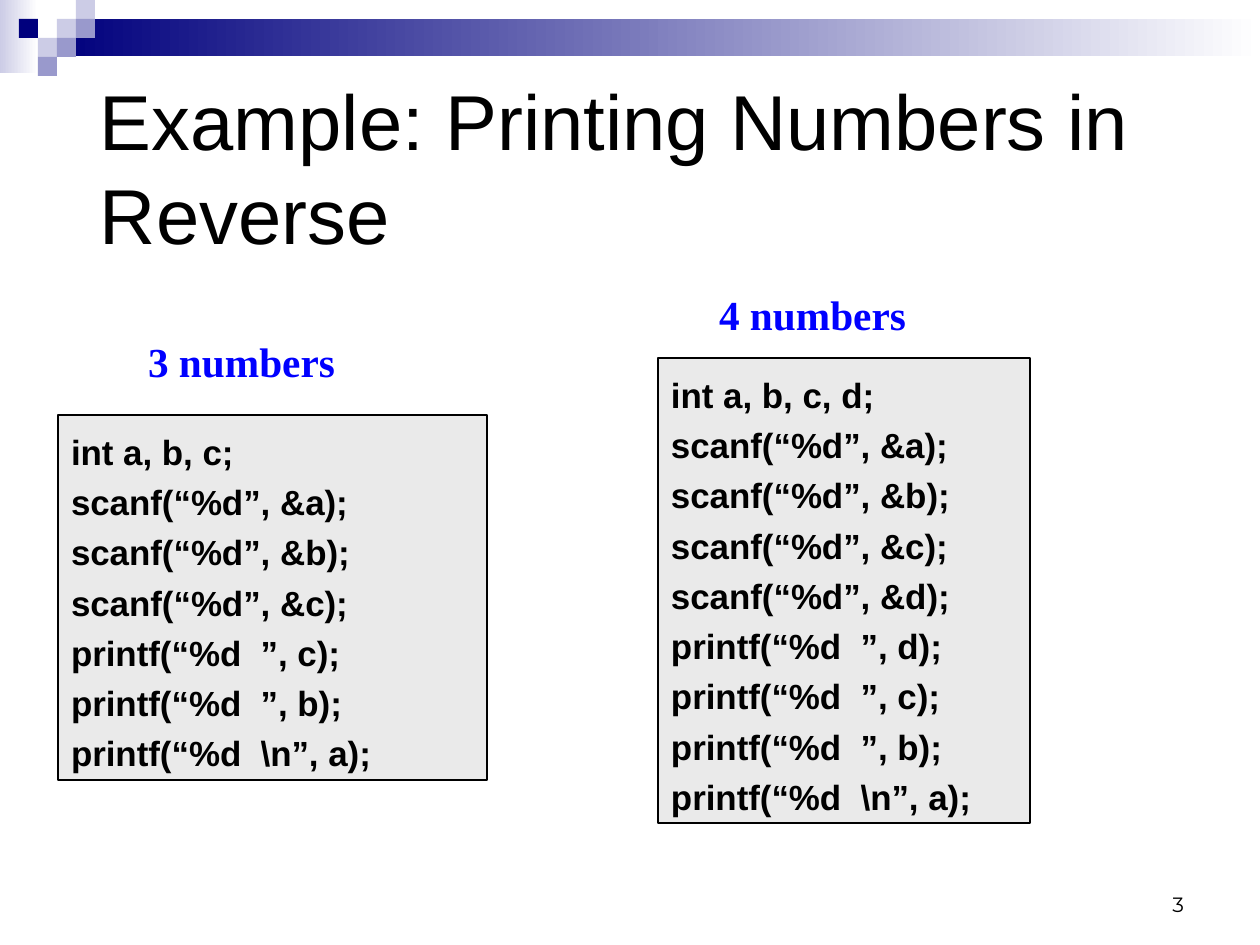
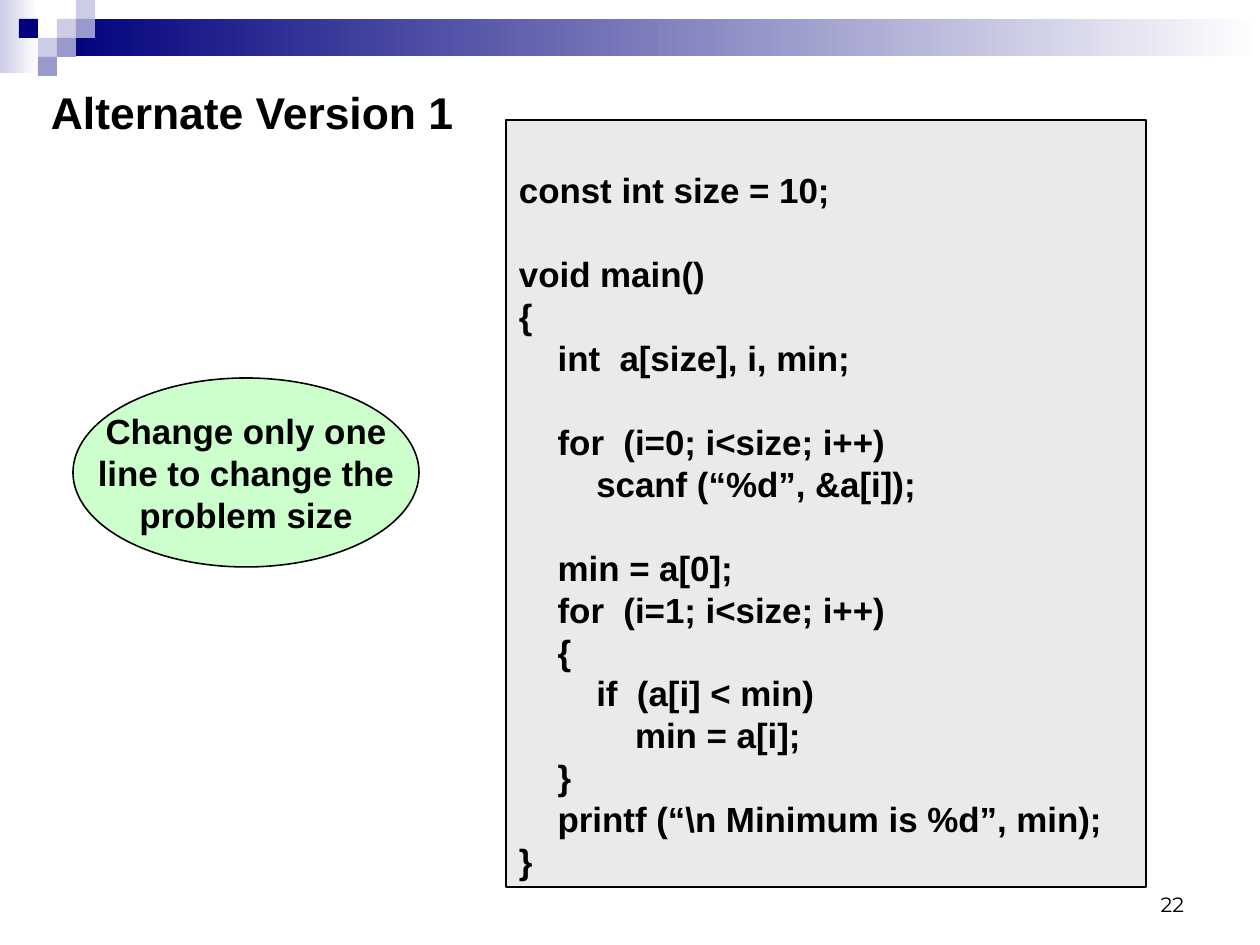
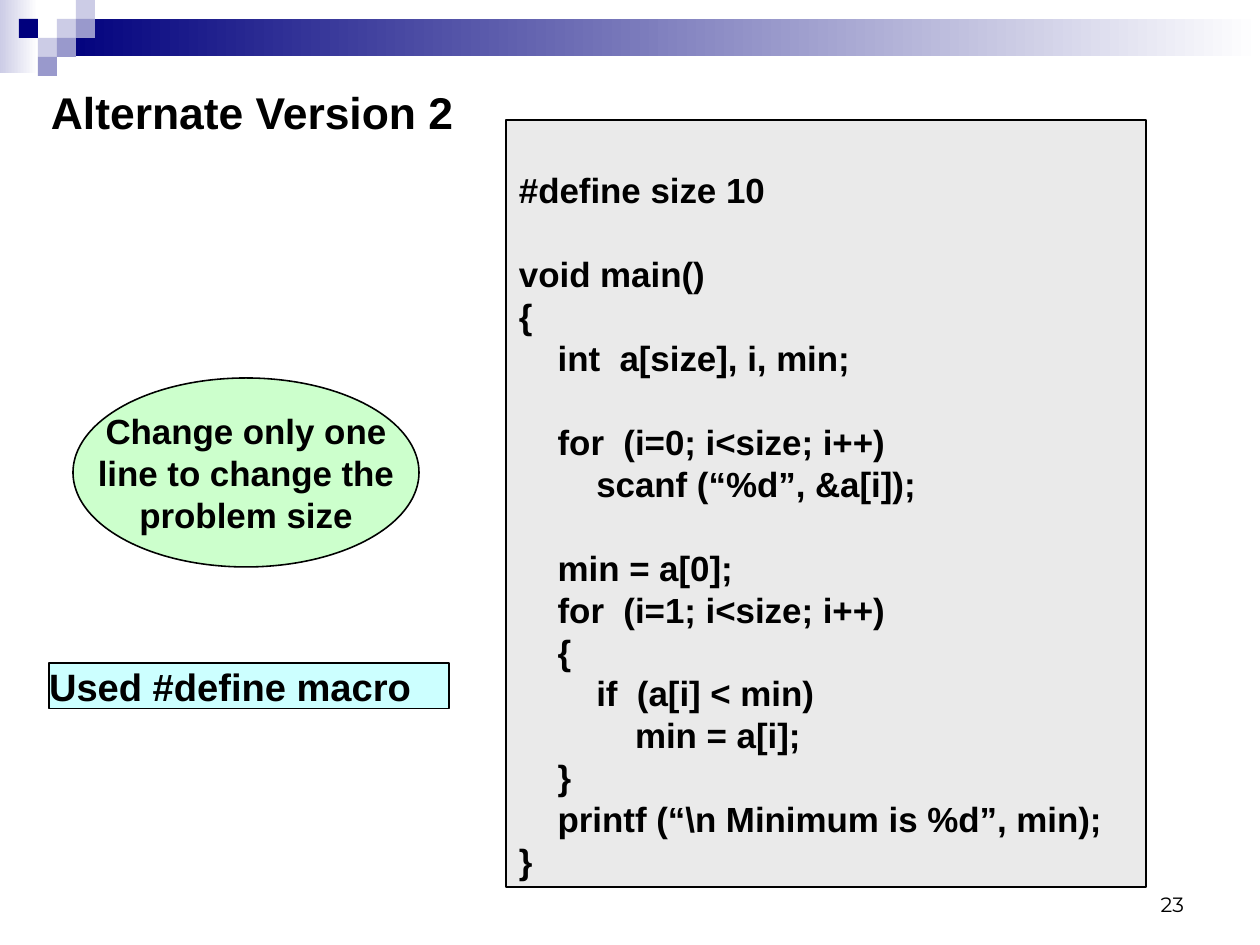
from pptx import Presentation
from pptx import util as u
from pptx.dml import color
from pptx.enum import shapes, text

PX = 8000
SLIDE_WIDTH, SLIDE_HEIGHT = 1260, 945
CELL = 19
INSETS = (13, 7, 13, 7)
CODE_LINE_HEIGHT = 42

COLORS = {
    "navy": "00007D", "lilac": "9999CC", "pale": "CCCCE6", "white": "FFFFFF",
    "black": "000000", "blue": "0000FF", "code": "EAEAEA", "green": "CCFFCC",
    "cyan": "CCFFFF",
}
MOSAIC = [
    (3, 1, "pale"), (4, 0, "pale"), (4, 1, "lilac"), (2, 2, "pale"),
    (1, 1, "navy"), (3, 2, "lilac"), (2, 3, "lilac"),
]

THREE_NUMBERS = """int a, b, c;
scanf(“%d”, &a);
scanf(“%d”, &b);
scanf(“%d”, &c);
printf(“%d  ”, c);
printf(“%d  ”, b);
printf(“%d  \\n”, a);"""

FOUR_NUMBERS = """int a, b, c, d;
scanf(“%d”, &a);
scanf(“%d”, &b);
scanf(“%d”, &c);
scanf(“%d”, &d);
printf(“%d  ”, d);
printf(“%d  ”, c);
printf(“%d  ”, b);
printf(“%d  \\n”, a);"""

MINIMUM_PROGRAM = """

void main()
{
    int  a[size], i, min;

    for  (i=0; i<size; i++)
        scanf (“%d”, &a[i]);

    min = a[0];
    for  (i=1; i<size; i++)
    {
        if  (a[i] < min)
            min = a[i];
    }
    printf (“\\n Minimum is %d”, min);
}"""


def rgb(name):
    """Return the named colour of the palette."""
    return color.RGBColor.from_string(COLORS[name])


def px(length):
    """Turn pixels into EMU."""
    return u.Emu(length * PX)


def add_panel(slide, box, fill, line=None, kind=shapes.MSO_SHAPE.RECTANGLE):
    """Add a filled shape; a pair of fill colours makes a gradient."""
    shape = slide.shapes.add_shape(kind, *map(px, box))
    shape.shadow.inherit = False
    if isinstance(fill, tuple):
        shape.fill.gradient()
        shape.fill.gradient_angle = 0
        for stop, name in zip(shape.fill.gradient_stops, fill):
            stop.color.rgb = rgb(name)
    else:
        shape.fill.solid()
        shape.fill.fore_color.rgb = rgb(fill)
    if line:
        shape.line.color.rgb = rgb("black")
        shape.line.width = u.Pt(line)
    else:
        shape.line.fill.background()
    return shape


def write(shape, content, size, bold=True, font="Arial", ink="black",
          align=text.PP_ALIGN.LEFT, anchor=text.MSO_ANCHOR.TOP,
          insets=INSETS, wrap=True):
    """Set and format the text of a shape, one paragraph a line."""
    frame = shape.text_frame
    frame.text = content
    frame.word_wrap = wrap
    frame.vertical_anchor = anchor
    (frame.margin_left, frame.margin_top,
     frame.margin_right, frame.margin_bottom) = map(px, insets)
    for paragraph in frame.paragraphs:
        paragraph.alignment = align
        for run in paragraph.runs:
            run.font.size = u.Pt(size)
            run.font.bold = bold
            run.font.name = font
            run.font.color.rgb = rgb(ink)
    return frame


def add_label(slide, box, content, size, **style):
    """Add a text box with one style."""
    return write(slide.shapes.add_textbox(*map(px, box)), content, size, **style)


def add_code(slide, box, code, spacing=1.0, top_lines=0):
    """Add a grey code listing, turning its empty lines into space before."""
    lines, gaps, gap = [], [], 0
    for line in code.split("\n"):
        if line:
            lines.append(line)
            gaps.append(gap)
            gap = 0
        else:
            gap += CODE_LINE_HEIGHT
    left, top, right, bottom = INSETS
    insets = (left, top + top_lines * CODE_LINE_HEIGHT, right, bottom)
    frame = write(add_panel(slide, box, "code", 1), "\n".join(lines), 22, insets=insets)
    for paragraph, gap in zip(frame.paragraphs, gaps):
        paragraph.line_spacing = spacing
        if gap:
            paragraph.space_before = px(gap)


def add_base_slide(presentation, number):
    """Add a slide with the top band, the mosaic and the slide number."""
    slide = presentation.slides.add_slide(presentation.slide_layouts[6])
    add_panel(slide, (0, 0, 2 * CELL, 73), ("pale", "white"))
    add_panel(slide, (3 * CELL, CELL, SLIDE_WIDTH - 3 * CELL, 2 * CELL - 1),
              ("navy", "white"))
    for column, row, fill in MOSAIC:
        add_panel(slide, (column * CELL, row * CELL, CELL, CELL), fill)
    add_label(slide, (903, 861, 294, 63), str(number), 13, bold=False,
              font="Montserrat", align=text.PP_ALIGN.RIGHT,
              anchor=text.MSO_ANCHOR.BOTTOM)
    return slide


def build_reverse_slide(presentation):
    """Build the slide with two captioned listings."""
    slide = add_base_slide(presentation, 3)
    listings = [
        ("3 numbers", (135, 329), (58, 415, 429, 365), THREE_NUMBERS),
        ("4 numbers", (706, 282), (658, 358, 372, 465), FOUR_NUMBERS),
    ]
    for caption, corner, box, code in listings:
        add_code(slide, box, code, spacing=1.2)
        add_label(slide, (*corner, 294, 62), caption, 26,
                  font="Times New Roman", ink="blue")
    add_label(slide, (87, 72, 1134, 189), "Example: Printing Numbers in Reverse",
              49, bold=False, anchor=text.MSO_ANCHOR.MIDDLE)


def build_version_slide(presentation, number, heading, size_line):
    """Build a slide with a minimum-finding program and a callout."""
    slide = add_base_slide(presentation, number)
    add_code(slide, (506, 120, 640, 767), size_line + MINIMUM_PROGRAM, top_lines=1)
    add_label(slide, (38, 78, 439, 66), heading, 28)
    callout = add_panel(slide, (73, 378, 346, 189), "green", 1, shapes.MSO_SHAPE.OVAL)
    write(callout, "Change only one\nline to change the\nproblem size", 22,
          align=text.PP_ALIGN.CENTER, anchor=text.MSO_ANCHOR.MIDDLE, wrap=False)
    return slide


def main():
    """Build and save the presentation."""
    presentation = Presentation()
    presentation.slide_width = px(SLIDE_WIDTH)
    presentation.slide_height = px(SLIDE_HEIGHT)
    build_reverse_slide(presentation)
    build_version_slide(presentation, 22, "Alternate Version 1", "const int size = 10;")
    slide = build_version_slide(presentation, 23, "Alternate Version 2", "#define size 10")
    banner = add_panel(slide, (49, 663, 400, 46), "cyan", 0.75)
    write(banner, "Used #define macro", 24, insets=(0, 0, 0, 0))
    presentation.save("out.pptx")


if __name__ == "__main__":
    main()
